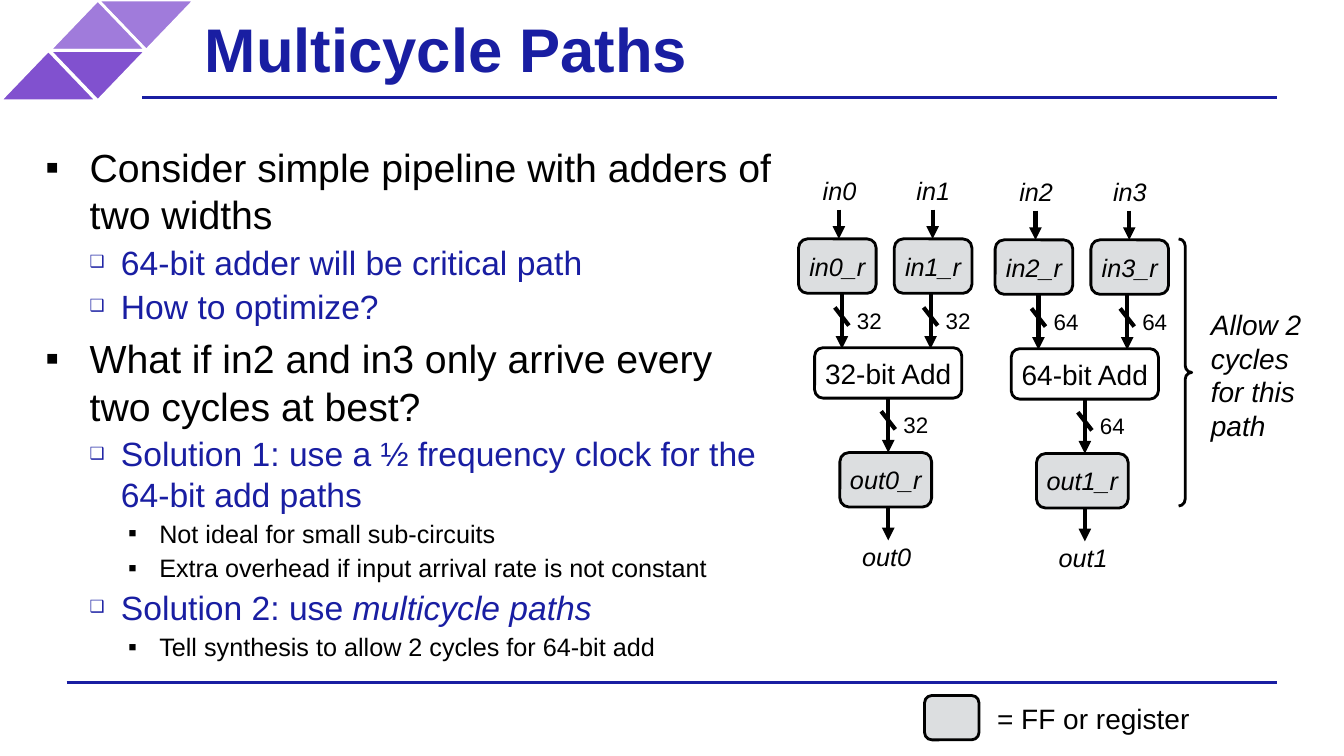
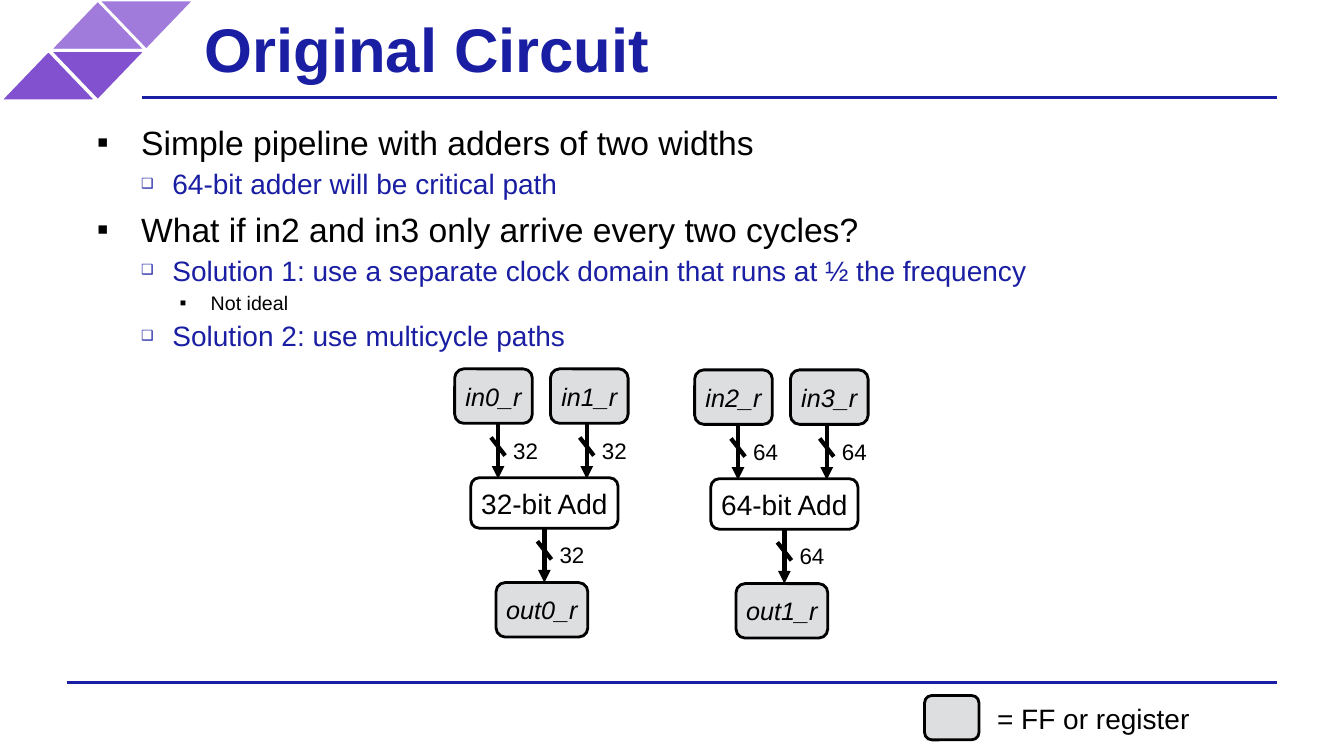
from dataclasses import dataclass

from pptx import Presentation
from pptx.dml.color import RGBColor
from pptx.enum.shapes import MSO_CONNECTOR as Link, MSO_SHAPE as Preset
from pptx.enum.text import MSO_ANCHOR as Anchor, PP_ALIGN as Align
from pptx.oxml.ns import qn
from pptx.oxml.xmlchemy import OxmlElement
from pptx.util import Inches, Pt


@dataclass(frozen=True)
class Theme:
    font: str = "Arial"
    blue: RGBColor = RGBColor(0x19, 0x1E, 0xA2)
    black: RGBColor = RGBColor(0, 0, 0)
    white: RGBColor = RGBColor(255, 255, 255)
    register: RGBColor = RGBColor(0xDC, 0xDE, 0xE0)
    light_purple: RGBColor = RGBColor(0xA0, 0x7B, 0xDB)
    dark_purple: RGBColor = RGBColor(0x81, 0x51, 0xCF)
    title: int = 44
    block: int = 20
    signal: int = 18
    width: int = 16
    outline: int = 2
    wire: int = 3


theme = Theme()


def add_box(page, preset, place, text="", size=theme.block, italic=False,
            fill=None, outline=theme.black):
    place = [Inches(length) for length in place]
    if preset is None:
        box = page.shapes.add_textbox(*place)
    else:
        box = page.shapes.add_shape(preset, *place)
        box.shadow.inherit = False
        box.line.color.rgb = outline
        box.line.width = Pt(theme.outline)
        if fill is None:
            box.fill.background()
        else:
            box.fill.solid()
            box.fill.fore_color.rgb = fill
    frame = box.text_frame
    frame.word_wrap = True
    frame.vertical_anchor = Anchor.MIDDLE
    frame.margin_left = frame.margin_top = frame.margin_bottom = Inches(0.06)
    frame.margin_right = Inches(0 if preset is None else 0.06)
    para = frame.paragraphs[0]
    para.alignment = Align.LEFT if preset is None else Align.CENTER
    for number, line in enumerate(text.split("\n") if text else []):
        if number:
            para.add_line_break()
        span = para.add_run()
        span.text = line
        span.font.name = theme.font
        span.font.size = Pt(size)
        span.font.italic = italic
        span.font.color.rgb = theme.black
    return box


def add_line(page, start, end, color=theme.black, width=theme.wire, arrow=False):
    line = page.shapes.add_connector(
        Link.STRAIGHT, *[Inches(length) for length in (*start, *end)])
    line.line.color.rgb = color
    line.line.width = Pt(width)
    properties = line.element.spPr
    if arrow:
        head = OxmlElement("a:tailEnd")
        head.set("type", "triangle")
        properties.find(qn("a:ln")).append(head)
    properties.append(OxmlElement("a:effectLst"))
    return line


slides = [
    {
        "title": "Multicycle Paths",
        "body": (0.39, 1.42, 7.3, 4.31),
        "sizes": (28, 24, 18),
        "points": [
            (0, "Consider simple pipeline with adders of two widths"),
            (1, "64-bit adder will be critical path"),
            (1, "How to optimize?"),
            (0, "What if in2 and in3 only arrive every two cycles at best?"),
            (1, "Solution 1: use a ½ frequency clock for the 64-bit add paths"),
            (2, "Not ideal for small sub-circuits"),
            (2, "Extra overhead if input arrival rate is not constant"),
            (1, "Solution 2: use ", "multicycle paths"),
            (2, "Tell synthesis to allow 2 cycles for 64-bit add"),
        ],
        "pipelines": [(7.92, 2.37), (9.87, 2.38)],
        "ports": True,
    },
    {
        "title": "Original Circuit",
        "body": (0.9, 1.21, 12.29, 2.09),
        "sizes": (24, 20, 14),
        "points": [
            (0, "Simple pipeline with adders of two widths"),
            (1, "64-bit adder will be critical path"),
            (0, "What if in2 and in3 only arrive every two cycles?"),
            (1, "Solution 1: use a separate clock domain that runs at ½ the frequency"),
            (2, "Not ideal"),
            (1, "Solution 2: use multicycle paths"),
        ],
        "pipelines": [(4.51, 3.66), (6.89, 3.67)],
        "ports": False,
    },
]

levels = [
    {"mark": "▪", "left": 0.5, "hang": 0.44, "before": 6, "color": theme.black, "scale": 100},
    {"mark": "❑", "left": 0.81, "hang": 0.31, "before": 3, "color": theme.blue, "scale": 50},
    {"mark": "▪", "left": 1.19, "hang": 0.31, "before": 3, "color": theme.black, "scale": 100},
]

deck = Presentation()
deck.slide_width = Inches(13.33)
deck.slide_height = Inches(7.5)
layout = deck.slide_layouts[5]
for holder in list(layout.placeholders)[1:]:
    holder.element.getparent().remove(holder.element)
pages = [deck.slides.add_slide(layout) for slide in slides]

shared = [
    add_line(pages[0], (0.66, 6.77), (12.67, 6.77), theme.blue, theme.outline),
    add_line(pages[0], (1.41, 0.97), (12.67, 0.97), theme.blue, theme.outline),
]
for left, top, turn, color in [
    (0.97, 0, 180, theme.light_purple),
    (0.49, 0, 0, theme.light_purple),
    (0.49, 0.5, 180, theme.dark_purple),
    (0, 0.5, 0, theme.dark_purple),
]:
    triangle = add_box(pages[0], Preset.ISOSCELES_TRIANGLE, (left, top, 0.96, 0.5),
                       fill=color, outline=theme.white)
    triangle.rotation = turn
    shared.append(triangle)
for shape in shared:
    layout.shapes.element.append(shape.element)

for page, slide in zip(pages, slides):
    title = page.shapes.title
    title.left, title.top, title.width, title.height = [
        Inches(length) for length in (1.89, 0, 10.08, 0.95)]
    frame = title.text_frame
    frame.vertical_anchor = Anchor.MIDDLE
    frame.margin_left = frame.margin_right = Inches(0.14)
    frame.margin_top = frame.margin_bottom = Inches(0.14)
    para = frame.paragraphs[0]
    para.alignment = Align.LEFT
    span = para.add_run()
    span.text = slide["title"]
    span.font.name = theme.font
    span.font.size = Pt(theme.title)
    span.font.bold = True
    span.font.color.rgb = theme.blue

    body = page.shapes.add_textbox(*[Inches(length) for length in slide["body"]])
    frame = body.text_frame
    frame.word_wrap = True
    frame.margin_left = frame.margin_right = 0
    frame.margin_top = frame.margin_bottom = 0
    for number, (depth, *texts) in enumerate(slide["points"]):
        level = levels[depth]
        para = frame.add_paragraph() if number else frame.paragraphs[0]
        para.level = depth
        para.space_before = Pt(level["before"])
        properties = para._p.get_or_add_pPr()
        properties.set("marL", str(Inches(level["left"])))
        properties.set("indent", str(-Inches(level["hang"])))
        for tag, name, value in [
            ("a:buSzPct", "val", str(level["scale"] * 1000)),
            ("a:buFont", "typeface", theme.font),
            ("a:buChar", "char", level["mark"]),
        ]:
            bullet = OxmlElement(tag)
            bullet.set(name, value)
            properties.append(bullet)
        for order, text in enumerate(texts):
            span = para.add_run()
            span.text = text
            span.font.name = theme.font
            span.font.size = Pt(slide["sizes"][depth])
            span.font.italic = order == 1
            span.font.color.rgb = level["color"]

    for index, (left, top) in enumerate(slide["pipelines"]):
        bits = ("32", "64")[index]
        inputs = [f"in{2 * index + side}" for side in range(2)]
        output = f"out{index}"
        for side, name in enumerate(inputs):
            add_box(page, Preset.ROUNDED_RECTANGLE, (left + 0.95 * side, top, 0.77, 0.54),
                    f"{name}_r", theme.signal, True, theme.register)
        add_box(page, Preset.ROUNDED_RECTANGLE, (left + 0.16, top + 1.08, 1.46, 0.5),
                f"{bits}-bit Add", fill=theme.white)
        add_box(page, Preset.ROUNDED_RECTANGLE, (left + 0.41, top + 2.12, 0.91, 0.54),
                f"{output}_r", theme.signal, True, theme.register)

        for across, down in [(0.43, 0.54), (1.31, 0.54), (0.89, 1.57)]:
            x, y = left + across, top + down
            add_line(page, (x, y), (x, y + 0.55), arrow=True)
            add_line(page, (x - 0.07, y + 0.14), (x + 0.07, y + 0.32))
            add_box(page, None, (x + 0.09, y + 0.08, 0.37, 0.38), bits, theme.width)

        if slide["ports"]:
            for side, name in enumerate(inputs):
                x = left + 0.4 + 0.93 * side
                add_line(page, (x, top - 0.29), (x, top), arrow=True)
                add_box(page, None, (x - 0.22, top - 0.69, 0.5, 0.42),
                        name, theme.signal, True)
            x = left + 0.89
            add_line(page, (x, top + 2.65), (x, top + 2.99), arrow=True)
            add_box(page, None, (x - 0.32, top + 2.94, 0.67, 0.42),
                    output, theme.signal, True)

    if slide["ports"]:
        brace = add_box(page, Preset.RIGHT_BRACE, (11.69, 2.37, 0.13, 2.65))
        brace.adjustments[0] = 0.53
        add_box(page, None, (11.95, 2.99, 1.05, 1.46),
                "Allow 2 cycles \nfor this path", italic=True)

    add_box(page, Preset.ROUNDED_RECTANGLE, (9.17, 6.9, 0.54, 0.44), fill=theme.register)
    add_box(page, None, (9.83, 6.9, 2.36, 0.45), "= FF or register")

deck.save("out.pptx")
